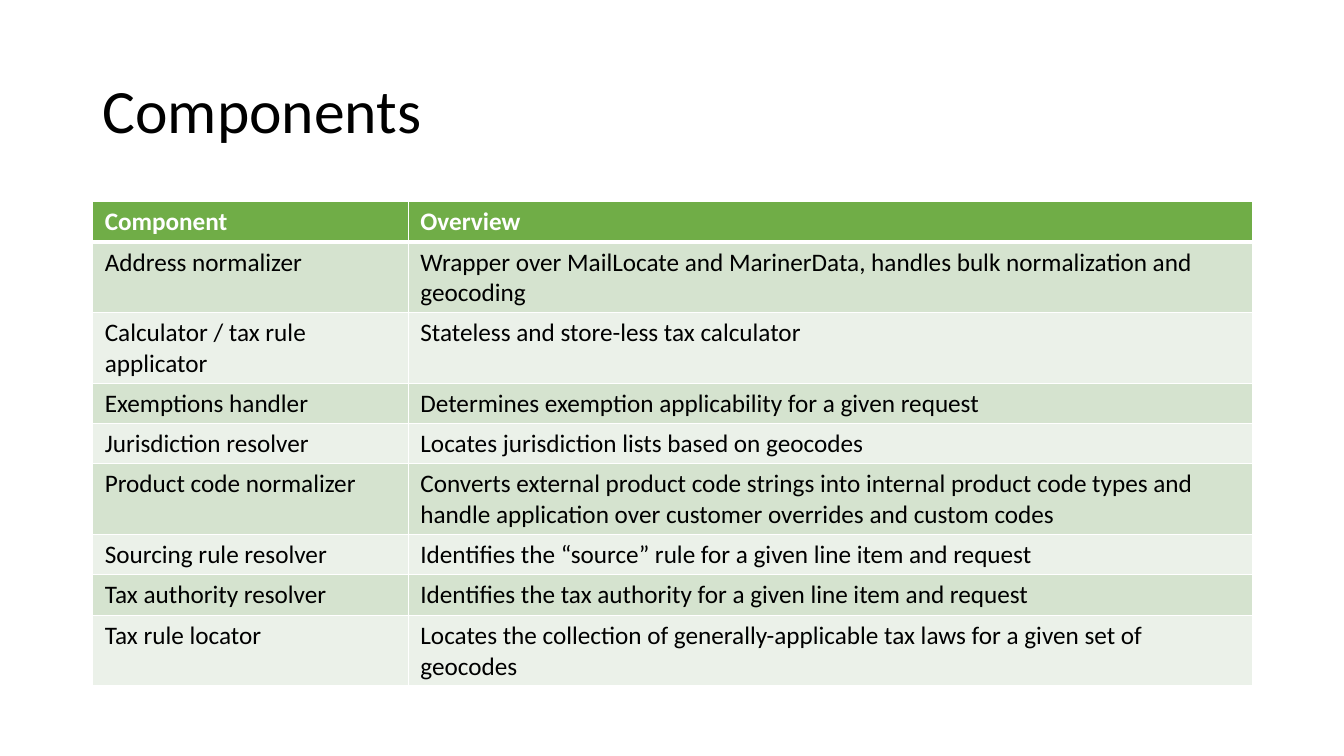
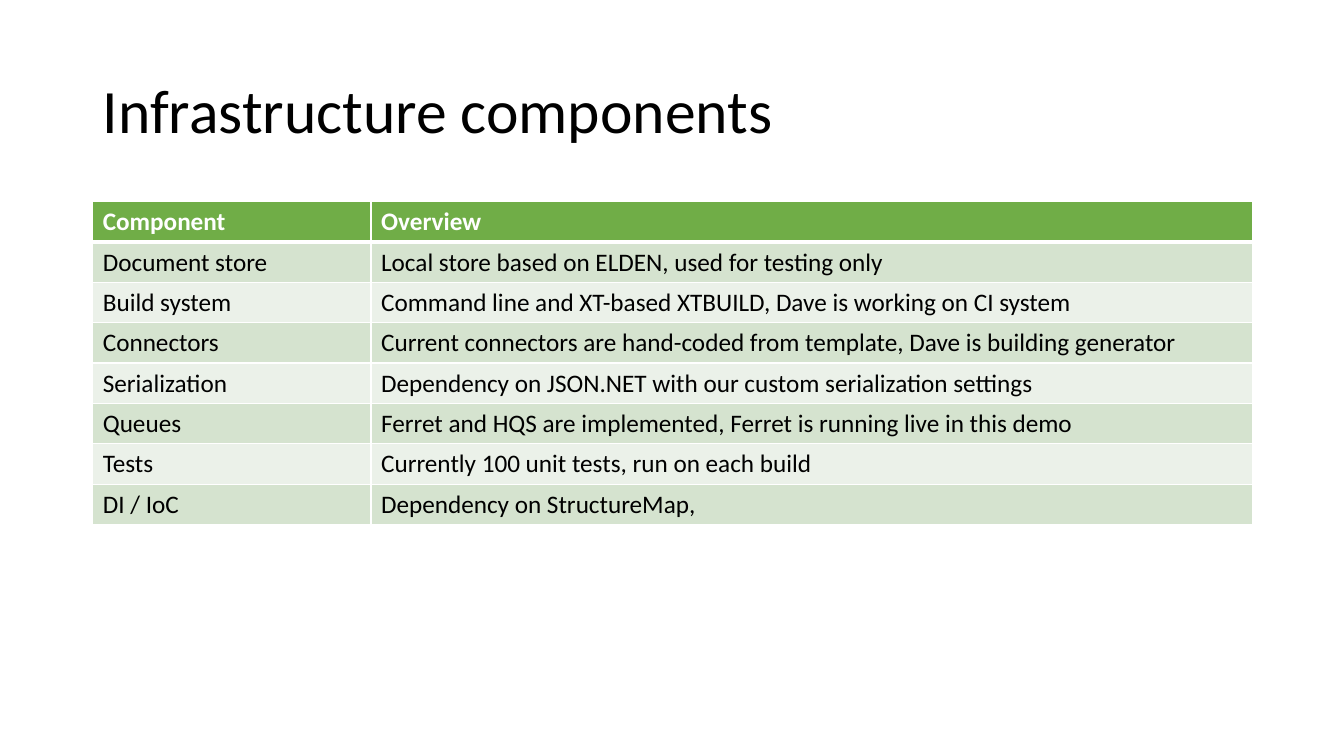
import pptx
import pptx.dml.color
import pptx.enum.text
import pptx.oxml
import pptx.oxml.ns
import pptx.util

Inches = pptx.util.Inches
Pt = pptx.util.Pt

COLOURS = {
    "text": "000000",
    "header_text": "FFFFFF",
    "border": "FFFFFF",
    "header": "70AD47",
    "odd_row": "D5E3CF",
    "even_row": "EBF1E9",
}
FONT = "Calibri"
LEFT, WIDTH = 0.92, 11.5
TABLE_TOP = 2
LINE_HEIGHTS = {1: 0.4, 2: 0.7}

# Each row holds its component, its overview and its number of text lines.
SLIDES = [
    {
        "title": "Components",
        "first_column": 3.13,
        "side_margin": 0.12,
        "rows": [
            ("Component", "Overview", 1),
            ("Address normalizer",
             "Wrapper over MailLocate and MarinerData, handles bulk "
             "normalization and geocoding", 2),
            ("Calculator / tax rule applicator",
             "Stateless and store-less tax calculator", 2),
            ("Exemptions handler",
             "Determines exemption applicability for a given request", 1),
            ("Jurisdiction resolver",
             "Locates jurisdiction lists based on geocodes", 1),
            ("Product code normalizer",
             "Converts external product code strings into internal product "
             "code types and handle application over customer overrides and "
             "custom codes", 2),
            ("Sourcing rule resolver",
             "Identifies the “source” rule for a given line item and request", 1),
            ("Tax authority resolver",
             "Identifies the tax authority for a given line item and request", 1),
            ("Tax rule locator",
             "Locates the collection of generally-applicable tax laws for a "
             "given set of geocodes", 2),
        ],
    },
    {
        "title": "Infrastructure components",
        "first_column": 2.76,
        "side_margin": 0.1,
        "rows": [
            ("Component", "Overview", 1),
            ("Document store",
             "Local store based on ELDEN, used for testing only", 1),
            ("Build system",
             "Command line and XT-based XTBUILD, Dave is working on CI system", 1),
            ("Connectors",
             "Current connectors are hand-coded from template, Dave is "
             "building generator", 1),
            ("Serialization",
             "Dependency on JSON.NET with our custom serialization settings", 1),
            ("Queues",
             "Ferret and HQS are implemented, Ferret is running live in this demo", 1),
            ("Tests", "Currently 100 unit tests, run on each build", 1),
            ("DI / IoC", "Dependency on StructureMap,", 1),
        ],
    },
]


def style_paragraph(para, size, colour, bold=False):
    para.font.name = FONT
    para.font.size = Pt(size)
    para.font.bold = bold
    para.font.color.rgb = pptx.dml.color.RGBColor.from_string(COLOURS[colour])


def add_borders(cell, top, bottom):
    """Draw the four cell edges; top and bottom are widths in points."""
    properties = cell._tc.get_or_add_tcPr()
    edges = [("lnL", 1), ("lnR", 1), ("lnT", top), ("lnB", bottom)]
    # The schema wants the edges, in this order, ahead of the fill.
    for position, (edge, points) in enumerate(edges):
        line = pptx.oxml.parse_xml(
            f'<a:{edge} {pptx.oxml.ns.nsdecls("a")} w="{int(Pt(points))}">'
            f'<a:solidFill><a:srgbClr val="{COLOURS["border"]}"/></a:solidFill>'
            f'</a:{edge}>'
        )
        properties.insert(position, line)


deck = pptx.Presentation()
deck.slide_width = Inches(13.33)
deck.slide_height = Inches(7.5)
blank_layout = deck.slide_layouts[6]

for content in SLIDES:
    page = deck.slides.add_slide(blank_layout)

    title_box = page.shapes.add_textbox(
        Inches(LEFT), Inches(0.4), Inches(WIDTH), Inches(1.45))
    title_frame = title_box.text_frame
    title_frame.word_wrap = True
    title_frame.vertical_anchor = pptx.enum.text.MSO_ANCHOR.MIDDLE
    title_para = title_frame.paragraphs[0]
    title_para.text = content["title"]
    title_para.line_spacing = 0.9
    style_paragraph(title_para, 44, "text")

    rows = content["rows"]
    heights = [LINE_HEIGHTS[line_count] for *_, line_count in rows]
    table = page.shapes.add_table(
        len(rows), 2, Inches(LEFT), Inches(TABLE_TOP),
        Inches(WIDTH), Inches(sum(heights))).table
    table.columns[0].width = Inches(content["first_column"])
    table.columns[1].width = Inches(WIDTH - content["first_column"])

    for row_index, (component, overview, _) in enumerate(rows):
        table.rows[row_index].height = Inches(heights[row_index])
        is_header = row_index == 0
        if is_header:
            fill_colour = "header"
        else:
            fill_colour = "odd_row" if row_index % 2 else "even_row"

        for column_index, text in enumerate((component, overview)):
            cell = table.cell(row_index, column_index)
            cell.margin_left = cell.margin_right = Inches(content["side_margin"])
            cell.margin_top = cell.margin_bottom = Inches(0.05)
            cell.fill.solid()
            cell.fill.fore_color.rgb = pptx.dml.color.RGBColor.from_string(
                COLOURS[fill_colour])
            add_borders(cell, top=3 if row_index == 1 else 1,
                        bottom=3 if is_header else 1)
            para = cell.text_frame.paragraphs[0]
            para.text = text
            style_paragraph(para, 18, "header_text" if is_header else "text",
                            bold=is_header)

deck.save("out.pptx")
